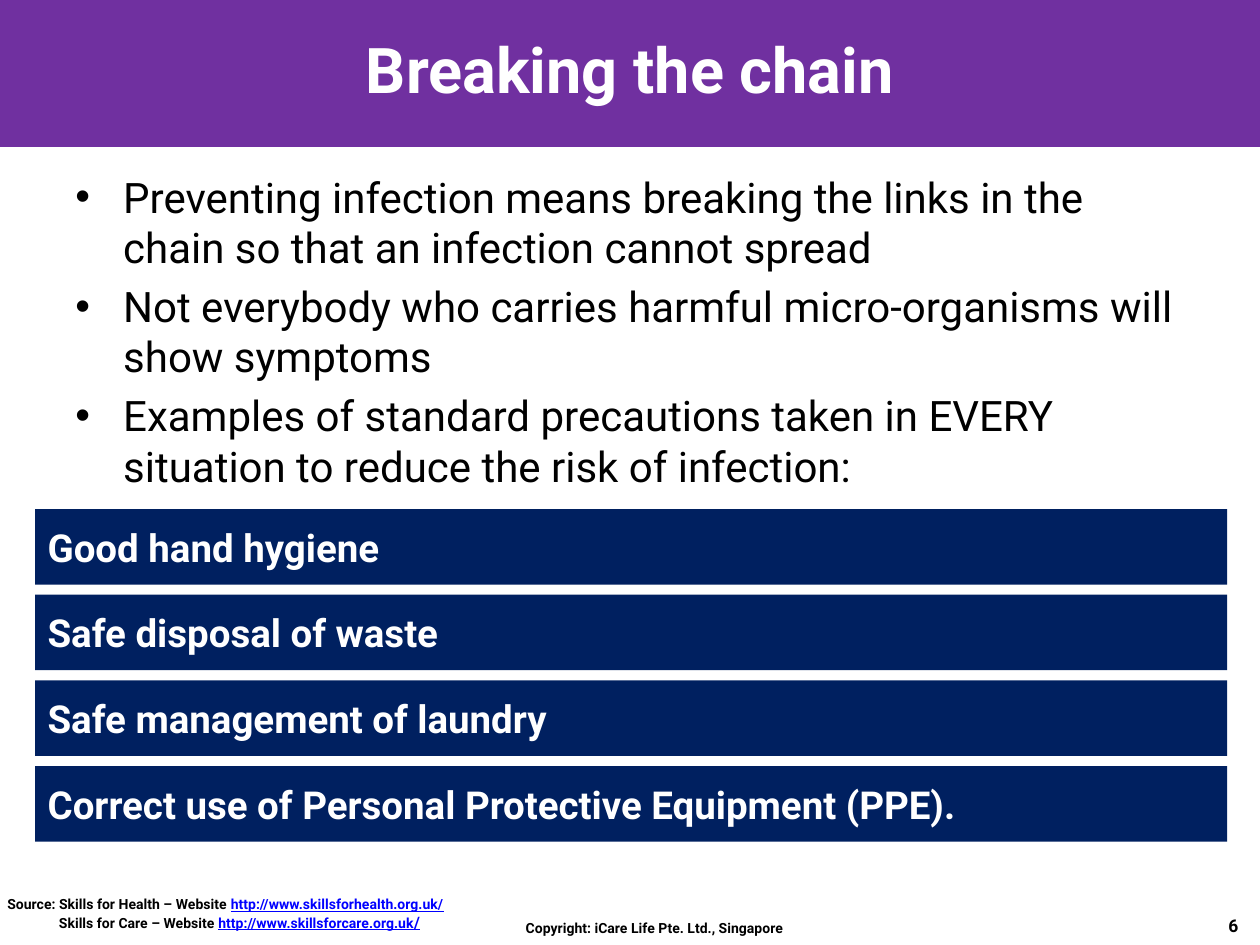
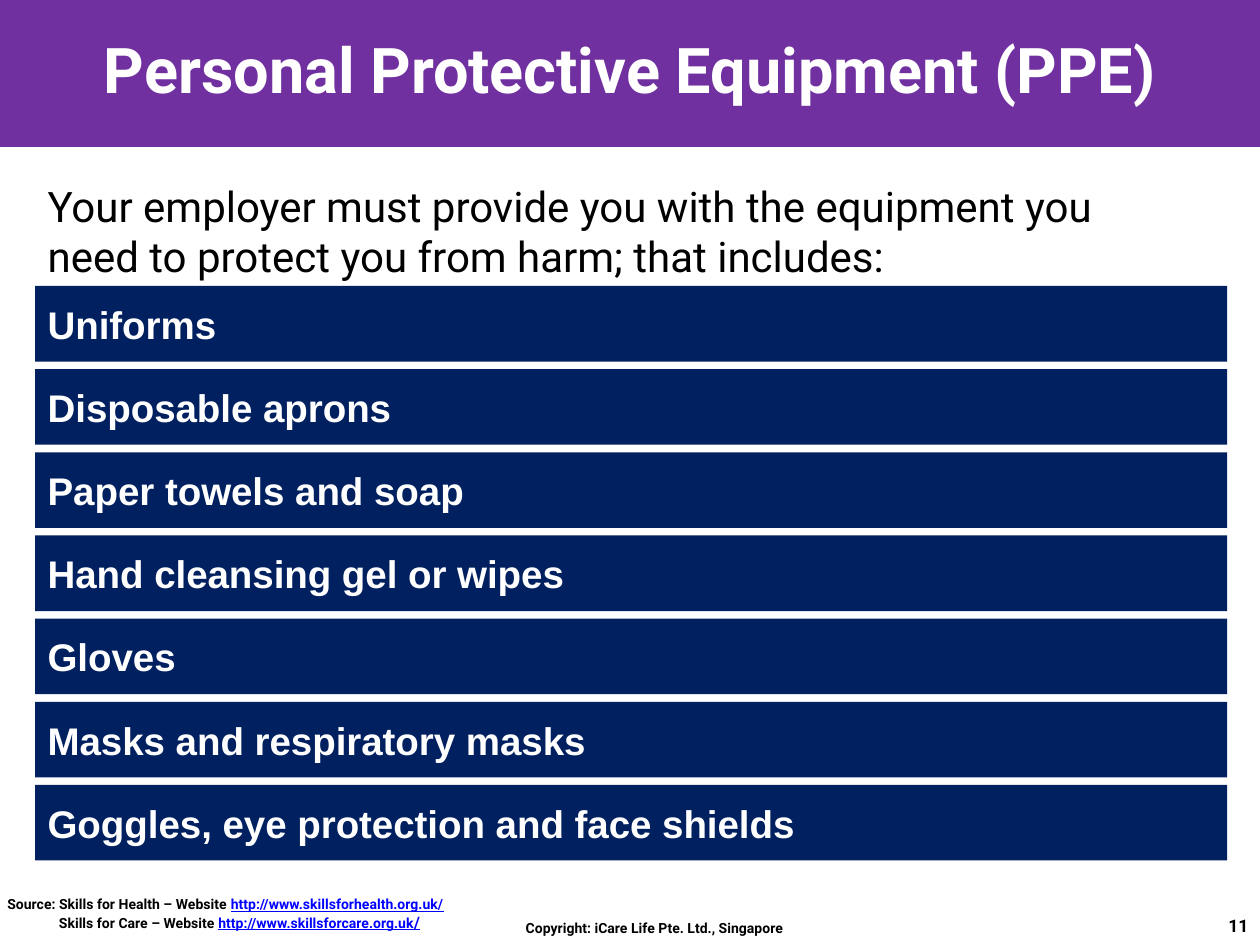
from lxml.etree import SubElement
from pptx import Presentation
from pptx.dml.color import RGBColor
from pptx.enum.shapes import MSO_SHAPE as Shape
from pptx.enum.text import MSO_ANCHOR as Anchor, PP_ALIGN as Align
from pptx.oxml.ns import qn
from pptx.util import Pt

EMU_PER_PX = 9144  # 100 px to the inch
COLORS = {"band": "7030A0", "bar": "002060", "light": "FFFFFF",
          "ink": "000000", "link": "0000FF"}
FORMATS = {
    "title": {"size": Pt(36), "bold": True, "color": "light"},
    "body": {"size": Pt(24), "color": "ink"},
    "bar": {"size": Pt(22), "bold": True, "color": "light"},
    "footer": {"size": Pt(8), "bold": True, "color": "ink"},
    "link": {"size": Pt(8), "bold": True, "underline": True, "color": "link"},
    "link end": {"size": Pt(9), "bold": True, "underline": True, "color": "link"},
    "page": {"size": Pt(10), "bold": True, "color": "ink"},
}
BAR_LEFT, BAR_WIDTH, BAR_HEIGHT = 28, 946, 60
BULLET_INDENT = 38
SOURCE_INDENT = 41


def px(length):
    return length * EMU_PER_PX


def rgb(name):
    return RGBColor.from_string(COLORS[name])


class Deck:
    """Holds the shared style and the slide being built."""

    def __init__(self):
        self.prs = Presentation()
        self.prs.slide_width, self.prs.slide_height = px(1000), px(750)
        self.slide = None

    def add_run(self, paragraph, text, style, font_name="Roboto"):
        run = paragraph.add_run()
        run.text = text
        run.font.name = font_name
        for key, value in FORMATS[style].items():
            if key == "color":
                run.font.color.rgb = rgb(value)
            else:
                setattr(run.font, key, value)

    def rect(self, left, top, width, height, color):
        rect = self.slide.shapes.add_shape(
            Shape.RECTANGLE, *map(px, (left, top, width, height)))
        rect.shadow.inherit = False
        rect.fill.solid()
        rect.fill.fore_color.rgb = rgb(color)
        rect.line.fill.background()
        return rect

    def text(self, box, paragraphs, align=Align.LEFT, anchor=Anchor.TOP, wrap=True):
        """Each paragraph is a list of (text, style) runs."""
        frame = self.slide.shapes.add_textbox(*map(px, box)).text_frame
        frame.word_wrap, frame.vertical_anchor = wrap, anchor
        for i, runs in enumerate(paragraphs):
            paragraph = frame.add_paragraph() if i else frame.paragraphs[0]
            paragraph.alignment = align
            for words, style in runs:
                self.add_run(paragraph, words, style)
        return frame.paragraphs

    def start(self, title):
        self.slide = self.prs.slides.add_slide(self.prs.slide_layouts[6])
        band = self.rect(0, 0, 1000, 115, "band")
        band.line.color.rgb = rgb("band")
        band.line.width = Pt(2)
        self.text((50, -8, 900, 125), [[(title, "title")]], Align.CENTER, Anchor.MIDDLE)

    def body(self, box, points, bullets=False):
        paragraphs = self.text(box, [[(point, "body")] for point in points])
        for i, paragraph in enumerate(paragraphs):
            if bullets:
                props = paragraph._p.get_or_add_pPr()
                props.set("marL", str(px(BULLET_INDENT)))
                props.set("indent", str(-px(BULLET_INDENT)))
                SubElement(props, qn("a:buFont"), typeface="Arial")
                SubElement(props, qn("a:buChar"), char="•")
            if i:
                paragraph.space_before = Pt(4.8)

    def bars(self, top, pitch, labels, font_name):
        for i, label in enumerate(labels):
            bar = self.rect(BAR_LEFT, top + i * pitch, BAR_WIDTH, BAR_HEIGHT, "bar")
            frame = bar.text_frame
            frame.word_wrap, frame.vertical_anchor = True, Anchor.MIDDLE
            frame.paragraphs[0].alignment = Align.LEFT
            self.add_run(frame.paragraphs[0], label, "bar", font_name)

    def footer(self, page):
        sources = self.text((-4, 706, 430, 39), [
            [("Source: Skills for Health – Website ", "footer"),
             ("http://www.skillsforhealth.org.uk/", "link")],
            [("Skills for Care – Website ", "footer"),
             ("http://www.skillsforcare.org.uk", "link"), ("/", "link end")],
        ])
        sources[1]._p.get_or_add_pPr().set("marL", str(px(SOURCE_INDENT)))
        number = str(page)
        self.text((965, 721, 25 + 7 * len(number), 27), [[(number, "page")]], wrap=False)
        self.text((370, 725, 299, 24),
                  [[("Copyright: iCare Life Pte. Ltd., Singapore", "footer")]], Align.CENTER)


def main():
    deck = Deck()

    # Breaking the chain
    deck.start("Breaking the chain")
    deck.body((50, 131, 900, 271), [
        "Preventing infection means breaking the links in the chain so that "
        "an infection cannot spread",
        "Not everybody who carries harmful micro-organisms will show symptoms",
        "Examples of standard precautions taken in EVERY situation to reduce "
        "the risk of infection:",
    ], bullets=True)
    deck.bars(404, 68, [
        "Good hand hygiene",
        "Safe disposal of waste",
        "Safe management of laundry",
        "Correct use of Personal Protective Equipment (PPE).",
    ], "Roboto")
    deck.footer(6)

    # Protective equipment
    deck.start("Personal Protective Equipment (PPE)")
    deck.bars(227, 66, [
        "Uniforms",
        "Disposable aprons",
        "Paper towels and soap",
        "Hand cleansing gel or wipes",
        "Gloves",
        "Masks and respiratory masks",
        "Goggles, eye protection and face shields",
    ], "Arial")
    deck.body((28, 138, 900, 495), [
        "Your employer must provide you with the equipment you need to protect "
        "you from harm; that includes:",
    ])
    deck.footer(11)

    deck.prs.save("out.pptx")


if __name__ == "__main__":
    main()
